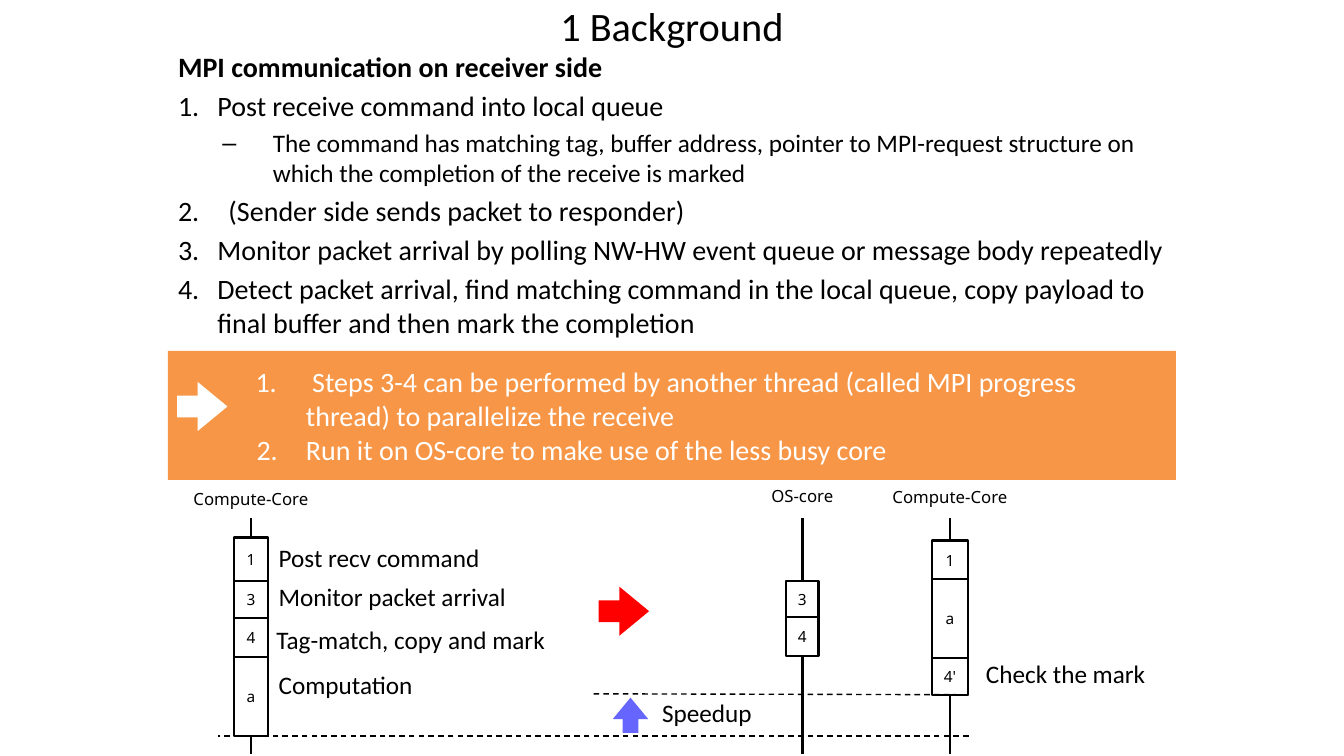
from lxml import etree
from pptx import Presentation
from pptx.dml.color import RGBColor
from pptx.enum.dml import MSO_LINE
from pptx.enum.shapes import MSO_CONNECTOR, MSO_SHAPE
from pptx.enum.text import MSO_ANCHOR, MSO_AUTO_SIZE, PP_ALIGN
from pptx.oxml.ns import qn
from pptx.util import Inches, Pt

RECT, ARROW = MSO_SHAPE.RECTANGLE, MSO_SHAPE.RIGHT_ARROW
STRAIGHT, DASH = MSO_CONNECTOR.STRAIGHT, MSO_LINE.DASH
LEFT, CENTER = PP_ALIGN.LEFT, PP_ALIGN.CENTER
TOP, MIDDLE = MSO_ANCHOR.TOP, MSO_ANCHOR.MIDDLE
FIXED = MSO_AUTO_SIZE.NONE

HUES = {"ink": "000000", "paper": "FFFFFF", "band": "F79646",
        "next": "FF0000", "gain": "6666FF"}
MAIN, SMALL = "Calibri", "Noto Sans"

deck = Presentation()
deck.slide_width, deck.slide_height = Inches(13.333), Inches(7.5)
COL, ROW = deck.slide_width / 40, deck.slide_height / 40
slide = deck.slides.add_slide(deck.slide_layouts[1])
shapes = slide.shapes


def hue(name):
    return RGBColor.from_string(HUES[name])


def place(x, y, w, h):
    return int(x * COL), int(y * ROW), int(w * COL), int(h * ROW)


def move(shape, box):
    shape.left, shape.top, shape.width, shape.height = place(*box)


def write(para, text, size=18, font=MAIN, color="ink", bold=False,
          align=LEFT, level=0, bullet=None, left=0, hang=0):
    para.alignment, para.level = align, level
    run = para.add_run()
    run.text = text
    run.font.size, run.font.name, run.font.bold = Pt(size), font, bold
    run.font.color.rgb = hue(color)
    props = para._p.get_or_add_pPr()
    props.set("marL", str(Inches(left)))
    props.set("indent", str(-Inches(hang)))
    if bullet == "num":
        mark = etree.SubElement(props, qn("a:buAutoNum"))
        mark.set("type", "arabicPeriod")
    elif bullet:
        etree.SubElement(props, qn("a:buChar")).set("char", bullet)
    else:
        etree.SubElement(props, qn("a:buNone"))


def fill_list(frame, rows):
    for n, (text, style) in enumerate(rows):
        para = frame.add_paragraph() if n else frame.paragraphs[0]
        write(para, text, **style)


def label(box, text, **style):
    frame = shapes.add_textbox(*place(*box)).text_frame
    frame.word_wrap = True
    write(frame.paragraphs[0], text, **style)


def block(kind, box, fill, edge=None):
    shape = shapes.add_shape(kind, *place(*box))
    shape.shadow.inherit = False
    shape.fill.solid()
    shape.fill.fore_color.rgb = hue(fill)
    if edge:
        shape.line.color.rgb = hue("ink")
        shape.line.width = Pt(edge)
    else:
        shape.line.fill.background()
    return shape


def arrow(box, fill, turn=0):
    shape = block(ARROW, box, fill)
    shape.adjustments[0], shape.adjustments[1] = 0.442, 0.606
    shape.rotation = turn


def rule(x1, y1, x2, y2, width, dash=None):
    line = shapes.add_connector(STRAIGHT, *place(x1, y1, x2, y2))
    line.line.color.rgb = hue("ink")
    line.line.width = Pt(width)
    if dash:
        line.line.dash_style = dash
    etree.SubElement(line._element.spPr, qn("a:effectLst"))


def heading(box):
    title = shapes.title
    move(title, box)
    frame = title.text_frame
    frame.auto_size, frame.vertical_anchor = FIXED, MIDDLE
    write(frame.paragraphs[0], "1 Background", size=28.8, align=CENTER)


def outline(box):
    body = slide.placeholders[1]
    move(body, box)
    frame = body.text_frame
    frame.auto_size, frame.vertical_anchor = FIXED, TOP
    item = dict(size=20, bullet="num", left=0.39, hang=0.39)
    wide = dict(item, left=0.5, hang=0.5)
    sub = dict(size=18, level=1, bullet="–", left=0.94, hang=0.5)
    fill_list(frame, [
        ("MPI communication on receiver side", dict(size=20, bold=True)),
        ("Post receive command into local queue", item),
        ("The command has matching tag, buffer address, pointer to "
         "MPI-request structure on which the completion of the receive "
         "is marked", sub),
        ("(Sender side sends packet to responder)", wide),
        ("Monitor packet arrival by polling NW-HW event queue or message "
         "body repeatedly", item),
        ("Detect packet arrival, find matching command in the local queue, "
         "copy payload to final buffer and then mark the completion", item),
    ])


def banner(box):
    x, y, w, h = box
    frame = block(RECT, box, "band").text_frame
    frame.word_wrap, frame.vertical_anchor = True, MIDDLE
    item = dict(size=20, color="paper", bullet="num", left=1.27, hang=0.5)
    fill_list(frame, [
        (" Steps 3-4 can be performed by another thread (called MPI "
         "progress thread) to parallelize the receive", item),
        ("Run it on OS-core to make use of the less busy core",
         dict(item, hang=0.49)),
    ])
    arrow((x + 0.27, y + 1.65, 1.5, 2.6), "paper")


def lane(box, name, lift, steps, edges):
    x, y, w, h = box
    mid = x + w / 2
    rule(mid, y, mid, y + h, 2)
    label((mid - 2.7, y - lift, 5.4, 1.8), name, size=12, font=SMALL,
          align=CENTER)
    for step, top, end in zip(steps, edges, edges[1:]):
        cell = block(RECT, (x, y + top, w, end - top), "paper", 1.5)
        frame = cell.text_frame
        frame.margin_left = frame.margin_right = 0
        frame.margin_top = frame.margin_bottom = 0
        frame.vertical_anchor = MIDDLE
        write(frame.paragraphs[0], step, size=11, font=SMALL, align=CENTER)


def diagram(box):
    x, y, w, h = box
    lane((x + 1.97, y, 1, h), "Compute-Core", 1.8, "134a",
         [1.03, 3.32, 5.29, 7.35, 11.53])
    lane((x + 18.4, y, 0.96, h), "OS-core", 2, "34",
         [3.32, 5.24, 7.32])
    lane((x + 22.75, y, 1.05, h), "Compute-Core", 1.9, ["1", "a", "4'"],
         [1.19, 3.24, 7.4, 9.35])
    notes = [
        (3, 1.03, 7.5, "Post recv command"),
        (3, 3.07, 7.5, "Monitor packet arrival"),
        (2.93, 5.35, 9.7, "Tag-match, copy and mark"),
        (3, 7.75, 5.1, "Computation"),
        (24.05, 7.15, 5.4, "Check the mark"),
        (14.41, 9.24, 4, "Speedup"),
    ]
    for left, top, wide, text in notes:
        label((x + left, y + top, wide, 2.13), text)
    rule(x + 23.83, y + 11.53, x + 1.5, y + 11.53, 1, DASH)
    rule(x + 23.83, y + 9.35, x + 12.58, y + 9.3, 1, DASH)
    arrow((x + 12.82, y + 3.63, 1.5, 2.6), "next")
    arrow((x + 13.24, y + 9.5, 1.05, 1.87), "gain", 270)


heading((6.5, 0, 27, 2.67))
outline((5, 2.35, 30, 16.2))
banner((5, 18.56, 30, 6.83))
diagram((5, 27.41, 30, 12.5))
deck.save("out.pptx")
